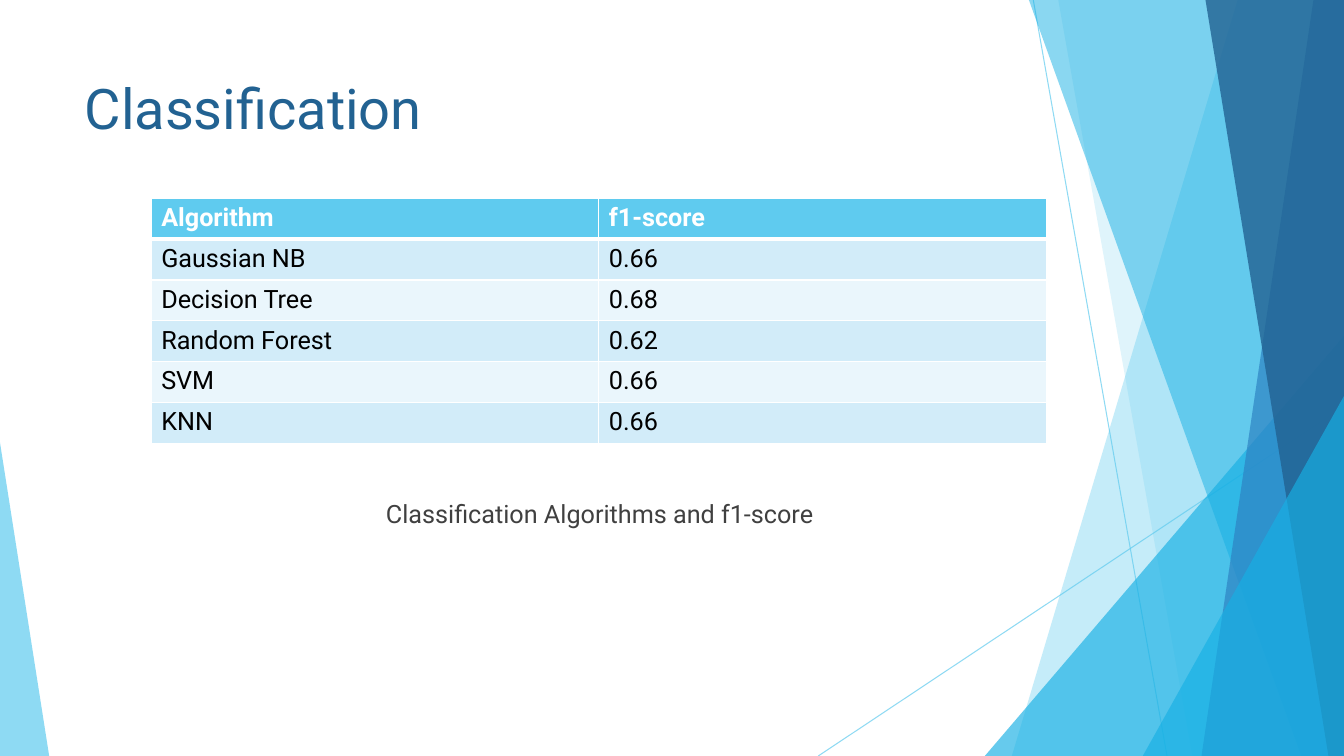
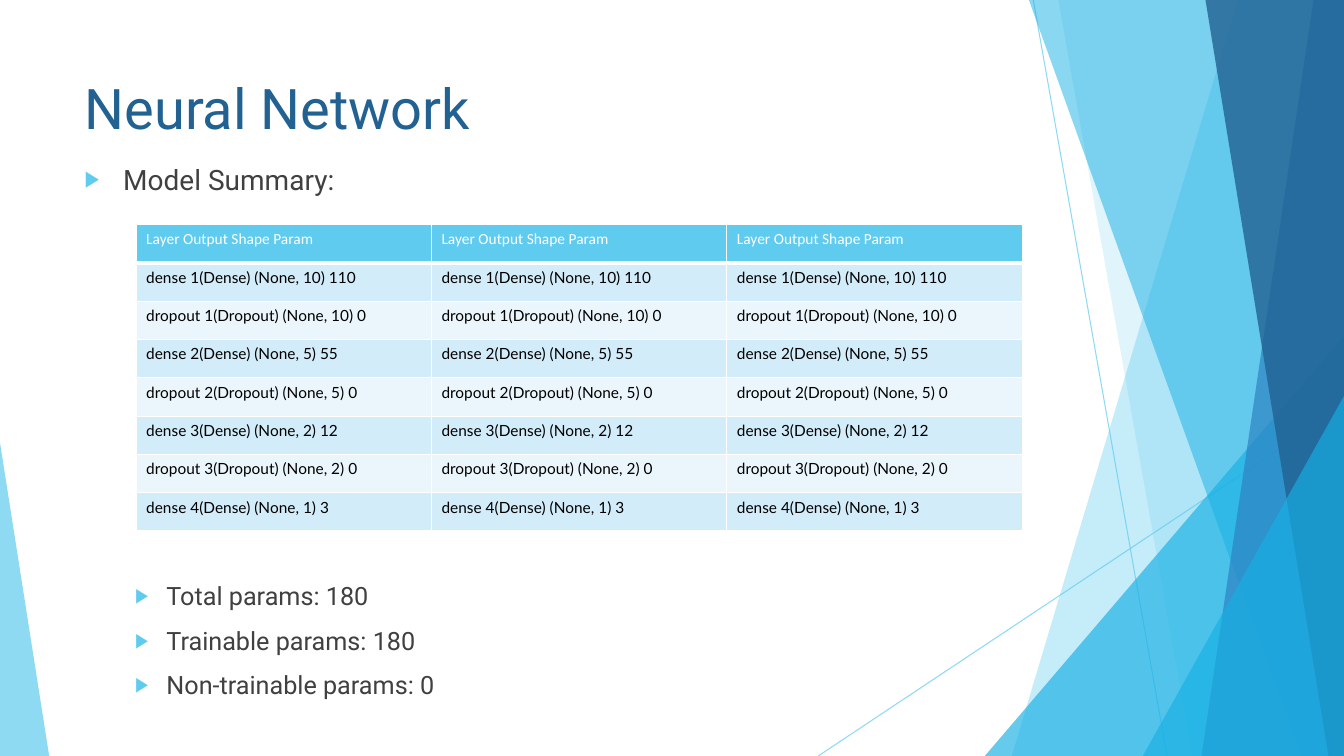
"""Build two slides of model results over a shared faceted backdrop."""
from lxml import etree
from pptx import Presentation
from pptx.dml.color import RGBColor
from pptx.enum.shapes import MSO_CONNECTOR, MSO_SHAPE
from pptx.enum.text import MSO_ANCHOR, MSO_AUTO_SIZE, PP_ALIGN
from pptx.oxml.ns import qn
from pptx.util import Cm, Pt

STRAIGHT = MSO_CONNECTOR.STRAIGHT
TRIANGLE = MSO_SHAPE.ISOSCELES_TRIANGLE
MIDDLE, TOP = MSO_ANCHOR.MIDDLE, MSO_ANCHOR.TOP
LEFT, CENTER = PP_ALIGN.LEFT, PP_ALIGN.CENTER
NO_AUTOFIT = MSO_AUTO_SIZE.NONE

WHITE = RGBColor(0xFF, 0xFF, 0xFF)
BLACK = RGBColor(0x00, 0x00, 0x00)
GRAY = RGBColor(0x40, 0x40, 0x40)
SKY = RGBColor(0x5F, 0xCB, 0xEF)
CYAN = RGBColor(0x17, 0xB0, 0xE4)
BLUE = RGBColor(0x2E, 0x83, 0xC3)
NAVY = RGBColor(0x22, 0x62, 0x92)
BAND_DARK = RGBColor(0xD2, 0xEC, 0xF9)
BAND_LIGHT = RGBColor(0xEA, 0xF6, 0xFC)

FONT = "Roboto"
WIDTH, HEIGHT = 33.87, 19.05
TITLE_BOX = (1.88, 1.7, 23.88, 2)
BULLET_INDENTS = ((0.97, 0.97), (2.06, 0.79))

SCORES = (
    ("Algorithm", "f1-score"),
    ("Gaussian NB", "0.66"),
    ("Decision Tree", "0.68"),
    ("Random Forest", "0.62"),
    ("SVM", "0.66"),
    ("KNN", "0.66"),
)
LAYERS = (
    "Layer Output Shape Param",
    "dense 1(Dense) (None, 10) 110",
    "dropout 1(Dropout) (None, 10) 0",
    "dense 2(Dense) (None, 5) 55",
    "dropout 2(Dropout) (None, 5) 0",
    "dense 3(Dense) (None, 2) 12",
    "dropout 3(Dropout) (None, 2) 0",
    "dense 4(Dense) (None, 1) 3",
)
PARAMETERS = ("Total params: 180", "Trainable params: 180", "Non-trainable params: 0")


def add_element(parent, tag, **attributes):
    """Append a drawing element to a parent element."""
    return etree.SubElement(parent, qn(tag), attributes)


def set_opacity(shape, percent):
    """Make the colours of a shape partly transparent."""
    for color in shape.element.xpath("./p:spPr//a:srgbClr"):
        add_element(color, "a:alpha", val=str(percent * 1000))


def paint_facet(shape, color, opacity):
    """Fill a facet without outline or shadow."""
    shape.shadow.inherit = False
    shape.fill.solid()
    shape.fill.fore_color.rgb = color
    shape.line.fill.background()
    set_opacity(shape, opacity)


def add_ray(shapes, start_x, start_y, end_x, end_y):
    """Draw one thin line of the backdrop."""
    ray = shapes.add_connector(STRAIGHT, Cm(start_x), Cm(start_y), Cm(end_x), Cm(end_y))
    ray.line.color.rgb = SKY
    ray.line.width = Pt(0.75)
    set_opacity(ray, 70)
    add_element(ray.element.spPr, "a:effectLst")


def add_facet(shapes, top_x, bottom_x, color, opacity):
    """Draw a full-height facet from a slanted edge to the right margin."""
    builder = shapes.build_freeform(Cm(top_x), 0)
    corners = ((WIDTH, 0), (WIDTH, HEIGHT), (bottom_x, HEIGHT))
    builder.add_line_segments([(Cm(x), Cm(y)) for x, y in corners], close=True)
    paint_facet(builder.convert_to_shape(), color, opacity)


def add_corner(shapes, left, top, width, peak, color, opacity):
    """Draw a right triangle that stands on the bottom margin."""
    corner = shapes.add_shape(TRIANGLE, Cm(left), Cm(top), Cm(width), Cm(HEIGHT - top))
    corner.adjustments[0] = peak
    paint_facet(corner, color, opacity)


def add_backdrop(slide, master):
    """Draw the faceted backdrop and hand it to the slide master."""
    group = slide.shapes.add_group_shape()
    shapes = group.shapes
    add_ray(shapes, 26.04, 0, 29.41, HEIGHT)
    add_ray(shapes, WIDTH, 10.24, 20.62, HEIGHT)
    add_facet(shapes, 31.19, 25.5, SKY, 36)
    add_facet(shapes, 26.67, 30.05, SKY, 20)
    add_corner(shapes, 24.82, 8.46, WIDTH - 24.82, 1, CYAN, 66)
    add_facet(shapes, 25.93, 32.79, CYAN, 50)
    add_facet(shapes, 33.1, 30.28, BLUE, 70)
    add_facet(shapes, 30.38, 33.48, NAVY, 80)
    add_corner(shapes, 28.8, 9.98, WIDTH - 28.8, 1, CYAN, 66)
    add_corner(shapes, 0, 11.15, 1.24, 0, SKY, 70)
    for number, properties in enumerate(group.element.xpath(".//p:cNvPr"), 100):
        properties.set("id", str(number))
    master.shapes.element.insert(2, group.element)


def place(shape, box, anchor):
    """Move a placeholder to a box and fix its text behaviour."""
    shape.left, shape.top, shape.width, shape.height = map(Cm, box)
    frame = shape.text_frame
    frame.word_wrap = True
    frame.auto_size = NO_AUTOFIT
    frame.vertical_anchor = anchor
    return frame


def add_text(paragraph, text, size, color, font=FONT, bold=False):
    """Add one formatted run to a paragraph."""
    run = paragraph.add_run()
    run.text = text
    run.font.name = font
    run.font.size = Pt(size)
    run.font.bold = bold
    run.font.color.rgb = color


def add_title(slide, text):
    """Fill the title placeholder."""
    paragraph = place(slide.shapes.title, TITLE_BOX, MIDDLE).paragraphs[0]
    paragraph.alignment = LEFT
    add_text(paragraph, text, 40, NAVY)


def add_caption(slide, box, text):
    """Fill the body placeholder with one centred line."""
    paragraph = place(slide.placeholders[1], box, MIDDLE).paragraphs[0]
    paragraph.alignment = CENTER
    paragraph.space_before = Pt(0)
    properties = paragraph._p.get_or_add_pPr()
    properties.set("marL", "0")
    properties.set("indent", "0")
    add_element(properties, "a:buNone")
    add_text(paragraph, text, 18, GRAY)


def add_bullet(paragraph, text, level, size, space_before):
    """Write one list item with an arrowhead bullet."""
    paragraph.level = level
    paragraph.alignment = LEFT
    paragraph.space_before = Pt(space_before)
    margin, hanging = BULLET_INDENTS[level]
    properties = paragraph._p.get_or_add_pPr()
    properties.set("marL", str(Cm(margin)))
    properties.set("indent", str(-Cm(hanging)))
    add_element(add_element(properties, "a:buClr"), "a:srgbClr", val=str(SKY))
    add_element(properties, "a:buSzPct", val="80000")
    add_element(properties, "a:buChar", char="▶")
    add_text(paragraph, text, size, GRAY)


def add_summary(slide, box, heading, items, table_gap):
    """Fill the body with a heading and items below a gap for the table."""
    frame = place(slide.placeholders[1], box, TOP)
    add_bullet(frame.paragraphs[0], heading, 0, 20, 10)
    for index, item in enumerate(items):
        add_bullet(frame.add_paragraph(), item, 1, 18, 10 if index else table_gap)


def add_borders(cell, row):
    """Give a cell white borders, thick between header and body."""
    properties = cell._tc.get_or_add_tcPr()
    widths = {"L": 1, "R": 1, "T": 3 if row == 1 else 1, "B": 3 if row == 0 else 1}
    for side, width in widths.items():
        line = add_element(properties, f"a:ln{side}", w=str(Pt(width)))
        add_element(add_element(line, "a:solidFill"), "a:srgbClr", val=str(WHITE))


def add_banded_table(slide, box, rows, size, header_font, body_font, header_bold):
    """Add a table with a header row and alternating bands."""
    table = slide.shapes.add_table(len(rows), len(rows[0]), *map(Cm, box)).table
    for row, texts in enumerate(rows):
        header = row == 0
        fill = SKY if header else BAND_DARK if row % 2 else BAND_LIGHT
        for column, text in enumerate(texts):
            cell = table.cell(row, column)
            add_borders(cell, row)
            cell.fill.solid()
            cell.fill.fore_color.rgb = fill
            add_text(cell.text_frame.paragraphs[0], text, size,
                     WHITE if header else BLACK,
                     header_font if header else body_font,
                     header and header_bold)


def build_classification(slide):
    """Build the slide with the score of each algorithm."""
    add_title(slide, "Classification")
    add_caption(slide, (0.51, 12.3, 29.21, 1.27), "Classification Algorithms and f1-score")
    add_banded_table(slide, (3.81, 5, 22.56, 6.17), SCORES, 18, FONT, FONT, True)


def build_network(slide):
    """Build the slide with the layers of the network."""
    add_title(slide, "Neural Network")
    add_summary(slide, (1.88, 3.96, 23.88, 14), "Model Summary:", PARAMETERS, 275)
    rows = [(layer,) * 3 for layer in LAYERS]
    add_banded_table(slide, (3.43, 5.66, 22.33, 7.72), rows, 11, "Calibri", "Lato", False)


def main():
    """Create and save the presentation."""
    presentation = Presentation()
    presentation.slide_width, presentation.slide_height = Cm(WIDTH), Cm(HEIGHT)
    layout = presentation.slide_layouts[1]
    slides = [presentation.slides.add_slide(layout) for _ in range(2)]
    add_backdrop(slides[0], presentation.slide_master)
    build_classification(slides[0])
    build_network(slides[1])
    presentation.save("out.pptx")


if __name__ == "__main__":
    main()
